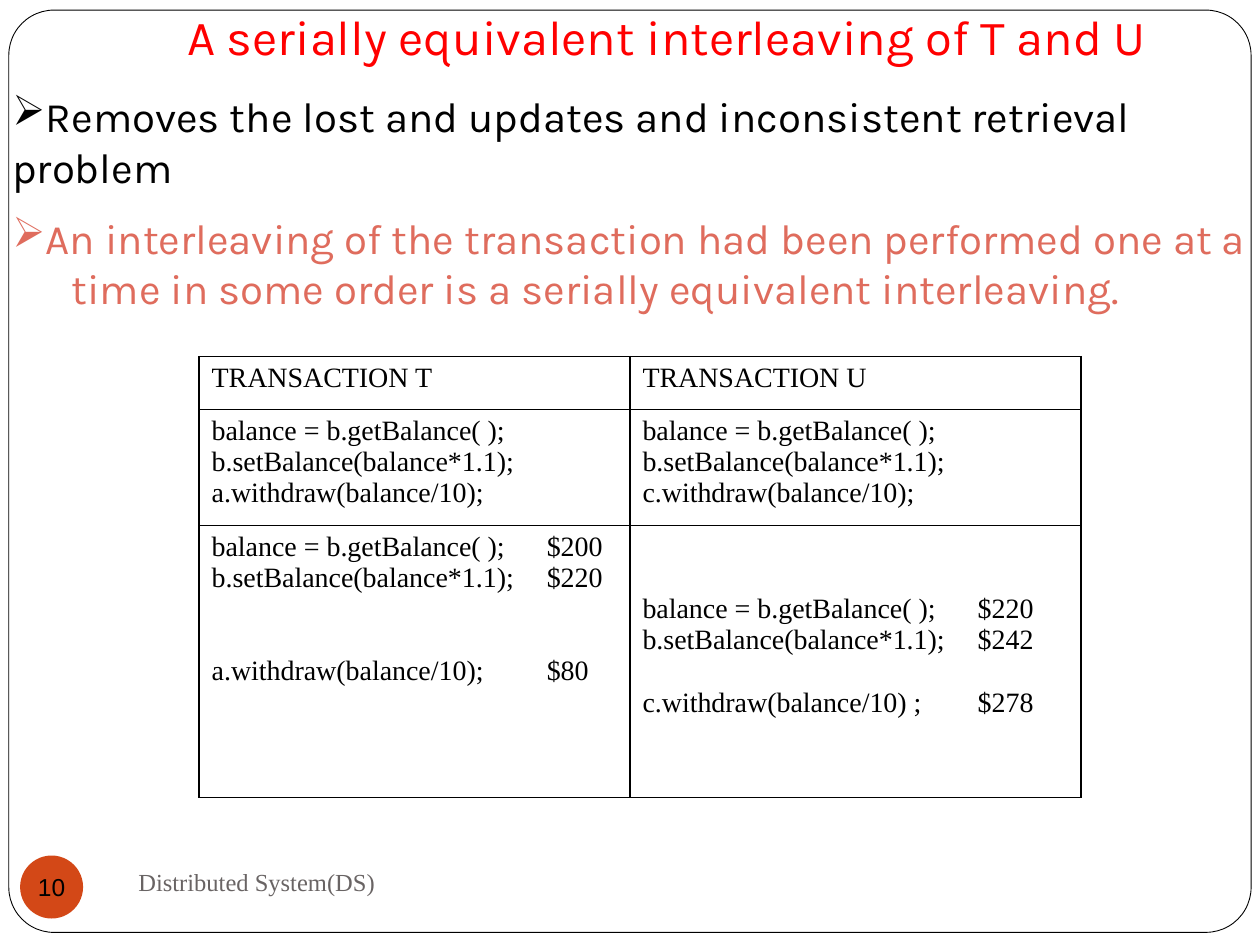
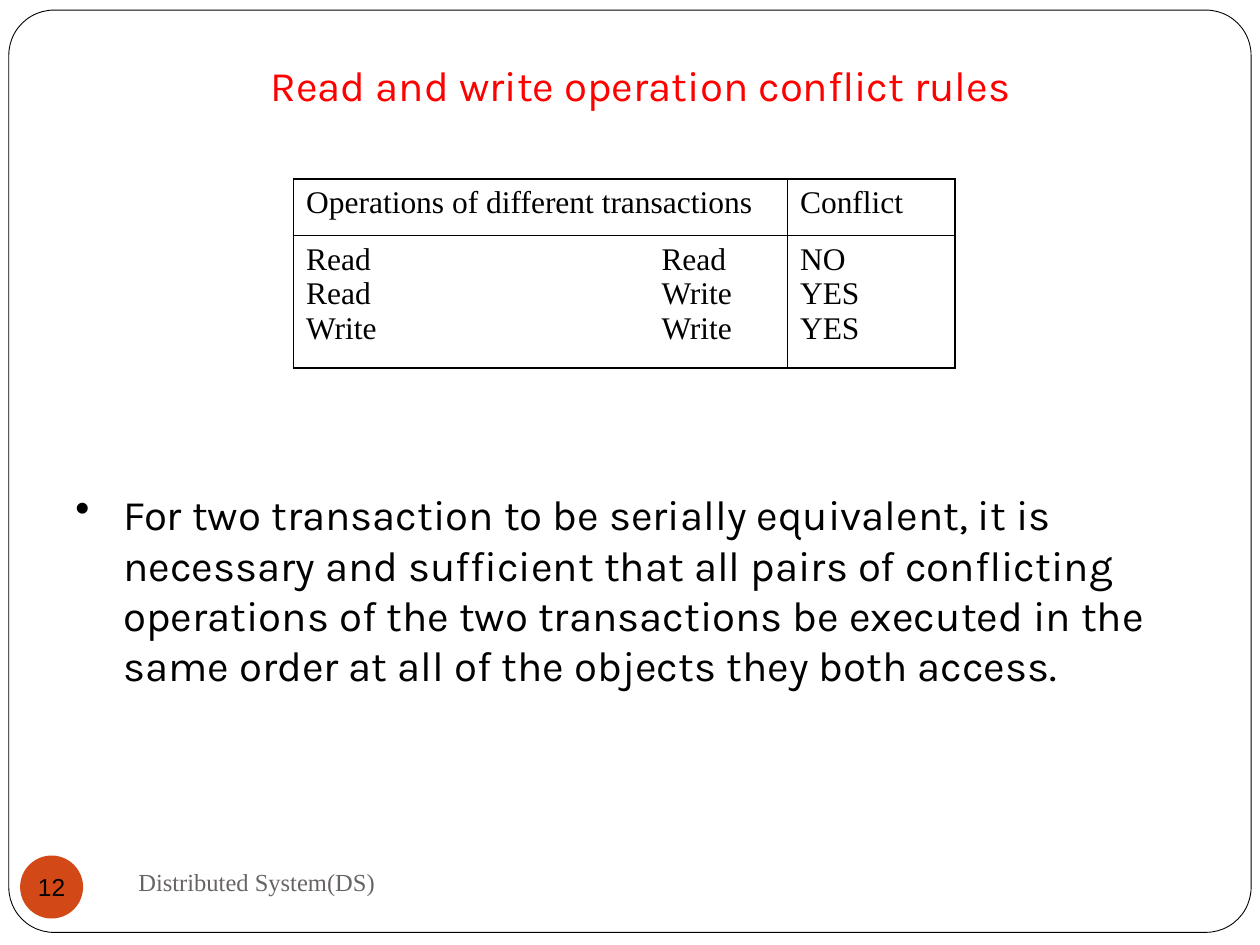
from lxml import etree
from pptx import Presentation
from pptx.dml.color import RGBColor
from pptx.enum.shapes import MSO_SHAPE
from pptx.enum.text import MSO_ANCHOR, PP_ALIGN
from pptx.oxml.ns import qn
from pptx.util import Inches, Pt

ROUNDED, OVAL = MSO_SHAPE.ROUNDED_RECTANGLE, MSO_SHAPE.OVAL
TOP, MIDDLE = MSO_ANCHOR.TOP, MSO_ANCHOR.MIDDLE
LEFT, CENTER = PP_ALIGN.LEFT, PP_ALIGN.CENTER

COLORS = {"white": "FFFFFF", "black": "000000", "title": "FF0000",
          "accent": "DF6C5D", "badge": "D34817", "footer": "696464"}
HEADING, SERIF, SANS = "Karla", "Times New Roman", "Arial"
SERIF_LINE = 1.11  # line height of the serif font, in ems
BLANK = ""


class DeckBuilder:
    """Holds the deck, its style and the slide being filled."""

    def __init__(self):
        self.deck = Presentation()
        self.deck.slide_width, self.deck.slide_height = Inches(10), Inches(7.5)
        self.page = None

    def color(self, name):
        return RGBColor.from_string(COLORS[name])

    def add_page(self, number):
        self.page = self.deck.slides.add_slide(self.deck.slide_layouts[6])
        frame = self.shape(ROUNDED, 0.07, 0.08, 9.86, 7.32, "white", "black")
        frame.adjustments[0] = 0.049
        badge = self.shape(OVAL, 0.16, 6.79, 0.5, 0.5, "badge")
        text = badge.text_frame
        text.margin_left = text.margin_right = 0
        text.margin_top = text.margin_bottom = 0
        text.word_wrap = False
        text.vertical_anchor = MIDDLE
        self.set_para(text.paragraphs[0], str(number), SANS, 14, align=CENTER)
        self.text(1, 6.75, 4.33, 0.5, "Distributed System(DS)", SERIF, 14,
                  "footer", anchor=MIDDLE)

    def shape(self, kind, left, top, width, height, fill, line=None):
        shape = self.page.shapes.add_shape(
            kind, Inches(left), Inches(top), Inches(width), Inches(height))
        shape.shadow.inherit = False
        shape.fill.solid()
        shape.fill.fore_color.rgb = self.color(fill)
        if line:
            shape.line.color.rgb = self.color(line)
            shape.line.width = Pt(0.5)
        else:
            shape.line.fill.background()
        return shape

    def set_para(self, para, text, font, size, color="black", align=LEFT,
                 bullet=None, indent=0, tab=None):
        para.text = text
        para.alignment = align
        props = para._p.get_or_add_pPr()
        if bullet:
            props.set("marL", str(Inches(indent)))
            props.set("indent", str(-Inches(indent)))
            etree.SubElement(props, qn("a:buChar"), char=bullet)
        if tab:
            stops = etree.SubElement(props, qn("a:tabLst"))
            etree.SubElement(stops, qn("a:tab"), pos=str(Inches(tab)), algn="l")
        para.font.name = font
        para.font.size = Pt(size)
        para.font.color.rgb = self.color(color)

    def box(self, left, top, width, height, anchor=TOP):
        box = self.page.shapes.add_textbox(
            Inches(left), Inches(top), Inches(width), Inches(height))
        box.text_frame.word_wrap = True
        box.text_frame.vertical_anchor = anchor
        return box.text_frame

    def text(self, left, top, width, height, text, font, size, color,
             align=LEFT, anchor=TOP):
        frame = self.box(left, top, width, height, anchor)
        self.set_para(frame.paragraphs[0], text, font, size, color, align)

    def title(self, left, top, width, height, text, size):
        self.text(left, top, width, height, text, HEADING, size, "title", CENTER)

    def bullets(self, left, top, width, height, items, bullet, indent=0, tab=None):
        """Items are (text, color) pairs."""
        frame = self.box(left, top, width, height)
        for index, (text, color) in enumerate(items):
            para = frame.add_paragraph() if index else frame.paragraphs[0]
            self.set_para(para, text, HEADING, 24, color, bullet=bullet,
                          indent=indent, tab=tab)
            if index:
                para.space_before = Pt(12)

    def table(self, left, top, widths, heights, rows, size, tab):
        """Each cell of rows is a list of lines."""
        table = self.page.shapes.add_table(
            len(heights), len(widths), Inches(left), Inches(top),
            Inches(sum(widths)), Inches(sum(heights))).table
        table.first_row = table.horz_banding = False
        for column, width in zip(table.columns, widths):
            column.width = Inches(width)
        for row, height, cells in zip(table.rows, heights, rows):
            row.height = Inches(height)
            for cell, lines in zip(row.cells, cells):
                self.fill_cell(cell, lines, size, tab)

    def fill_cell(self, cell, lines, size, tab):
        """Set the lines, turning blank ones into space above the next."""
        frame, gap, started = cell.text_frame, 0, False
        for line in lines:
            if line == BLANK:
                gap += size * SERIF_LINE
                continue
            para = frame.add_paragraph() if started else frame.paragraphs[0]
            self.set_para(para, line, SERIF, size, tab=tab)
            if gap and started:
                para.space_before = Pt(gap)
            elif gap:
                cell.margin_top = Inches(0.05) + Pt(gap)
            gap, started = 0, True
        self.border(cell)
        cell.fill.background()

    def border(self, cell):
        props = cell._tc.get_or_add_tcPr()
        for side in ("lnL", "lnR", "lnT", "lnB"):
            line = etree.SubElement(props, qn(f"a:{side}"), w=str(Pt(1)))
            fill = etree.SubElement(line, qn("a:solidFill"))
            etree.SubElement(fill, qn("a:srgbClr"), val=COLORS["black"])


def add_interleaving(builder):
    builder.add_page(10)
    read, update = "balance = b.getBalance( );", "b.setBalance(balance*1.1);"
    rows = [
        [["TRANSACTION T"], ["TRANSACTION U"]],
        [[read, update, "a.withdraw(balance/10);"],
         [read, update, "c.withdraw(balance/10);"]],
        [[f"{read}\t$200", f"{update}\t$220", BLANK, BLANK,
          "a.withdraw(balance/10);\t$80"],
         [BLANK, BLANK, f"{read}\t$220", f"{update}\t$242", BLANK,
          "c.withdraw(balance/10) ;\t$278"]],
    ]
    builder.table(1.58, 2.83, [3.42, 3.58], [0.42, 0.92, 2.16], rows, 16, 2.66)
    builder.title(1.25, 0, 8.08, 0.57,
                  "A serially equivalent interleaving of T and U", 28)
    builder.bullets(0, 0.67, 10, 2.12, [
        ("Removes the lost and updates and inconsistent retrieval problem",
         "black"),
        ("An interleaving of the transaction had been performed one at a"
         "\v\ttime in some order is a serially equivalent interleaving.",
         "accent"),
    ], "➢", tab=0.47)


def add_conflict_rules(builder):
    builder.add_page(12)
    rows = [
        [["Operations of different transactions"], ["Conflict"]],
        [["Read\tRead", "Read\tWrite", "Write\tWrite"], ["NO", "YES", "YES"]],
    ]
    builder.table(2.33, 1.42, [3.92, 1.33], [0.45, 1.05], rows, 18, 2.82)
    builder.title(1.75, 0.42, 6.67, 0.5,
                  "Read and write operation conflict rules", 24)
    builder.bullets(0.5, 3.83, 9.17, 1.72, [
        ("For two transaction to be serially equivalent, it is necessary and "
         "sufficient that all pairs of conflicting operations of the two "
         "transactions be executed in the same order at all of the objects "
         "they both access.", "black"),
    ], "•", indent=0.38)


def main():
    builder = DeckBuilder()
    add_interleaving(builder)
    add_conflict_rules(builder)
    builder.deck.save("out.pptx")


if __name__ == "__main__":
    main()
